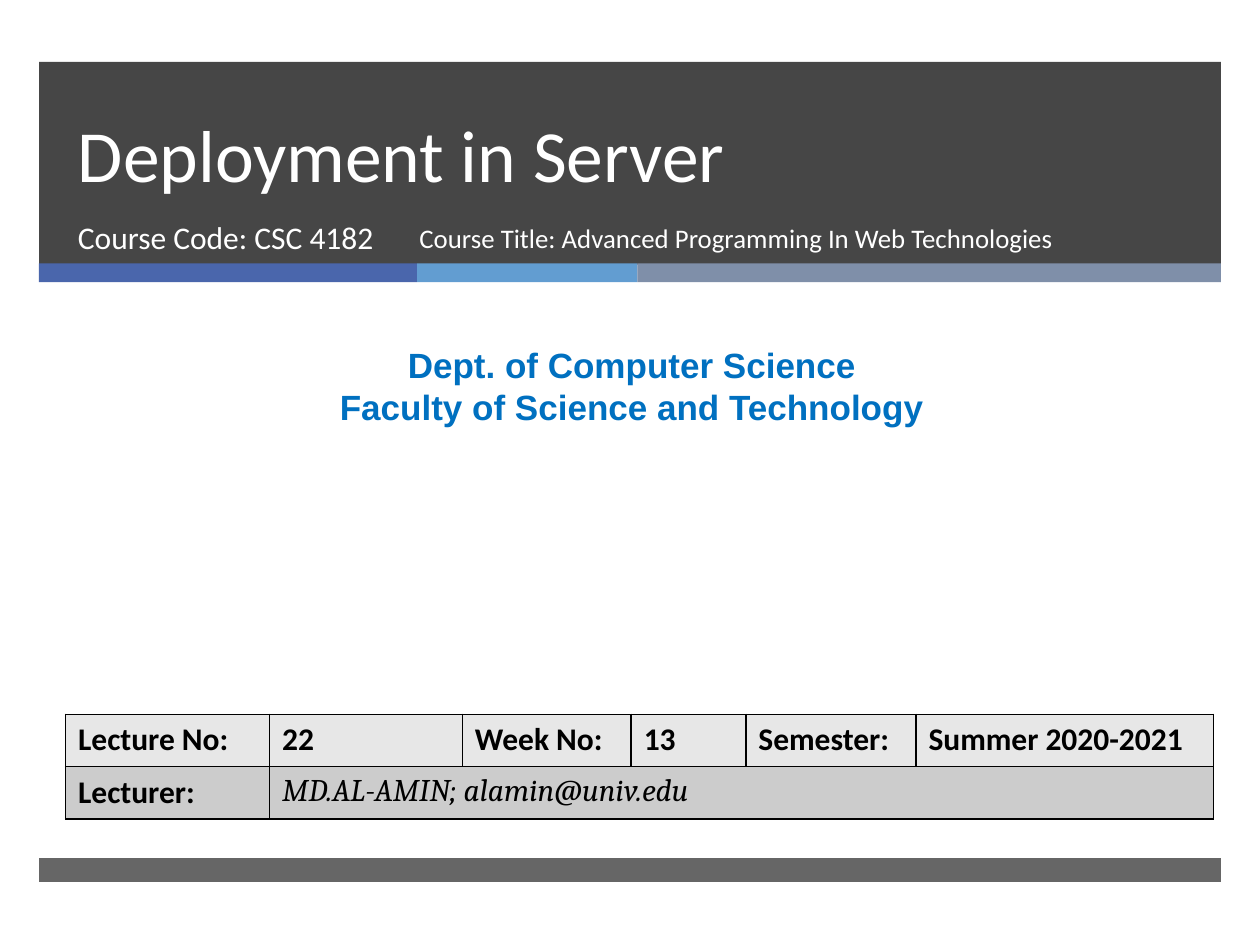
from itertools import accumulate

from lxml.etree import SubElement
from pptx import Presentation
from pptx.dml.color import RGBColor
from pptx.enum.shapes import MSO_SHAPE as Shape
from pptx.enum.text import MSO_ANCHOR as Anchor, PP_ALIGN as Align
from pptx.oxml import parse_xml
from pptx.oxml.ns import nsdecls, qn
from pptx.util import Inches, Pt

COLUMNS, ROWS = 100, 75
DARK, WHITE, BLACK, BLUE = "262626", "FFFFFF", "000000", "0070C0"
STRIPES = [(30, "4A66AC"), (17.5, "629DD1"), (46.3, "7F8FA9")]
TABLE_COLUMNS = [16.2, 15.3, 13.4, 9.1, 13.5, 23.6]
HEADINGS = ["Lecture No:", "22", "Week No:", "13", "Semester:", "Summer 2020-2021"]


def color(value):
    return RGBColor.from_string(value)


class SlideBuilder:
    font = "Calibri"

    def __init__(self, presentation):
        presentation.slide_width, presentation.slide_height = Inches(10), Inches(7.5)
        self.column = presentation.slide_width / COLUMNS
        self.row = presentation.slide_height / ROWS
        self.slide = presentation.slides.add_slide(presentation.slide_layouts[6])

    def place(self, left, top, width, height):
        return (round(left * self.column), round(top * self.row),
                round(width * self.column), round(height * self.row))

    def bar(self, left, top, width, height, fill, alpha=100):
        shape = self.slide.shapes.add_shape(Shape.RECTANGLE, *self.place(left, top, width, height))
        shape.shadow.inherit = False
        shape.line.fill.background()
        shape.fill.solid()
        shape.fill.fore_color.rgb = color(fill)
        if alpha < 100:
            tint = shape._element.spPr.find(qn("a:solidFill"))[0]
            SubElement(tint, qn("a:alpha"), val=str(alpha * 1000))

    def add_run(self, paragraph, text, size, ink, font=None, bold=False, italic=False):
        run = paragraph.add_run()
        run.text = text
        run.font.name = font or self.font
        run.font.size = Pt(size)
        run.font.bold, run.font.italic = bold, italic
        run.font.color.rgb = color(ink)

    def text(self, left, top, width, height, lines, size, ink=WHITE, font=None, bold=False,
             align=Align.LEFT, anchor=Anchor.TOP, spacing=None):
        frame = self.slide.shapes.add_textbox(*self.place(left, top, width, height)).text_frame
        frame.word_wrap = True
        frame.vertical_anchor = anchor
        for index, line in enumerate(lines):
            paragraph = frame.add_paragraph() if index else frame.paragraphs[0]
            paragraph.alignment = align
            paragraph.line_spacing = spacing
            self.add_run(paragraph, line, size, ink, font, bold)

    def cell(self, cell, fill):
        cell.fill.solid()
        cell.fill.fore_color.rgb = color(fill)
        properties = cell._tc.get_or_add_tcPr()
        for index, side in enumerate(("lnL", "lnR", "lnT", "lnB")):
            properties.insert(index, parse_xml(
                f'<a:{side} {nsdecls("a")} w="12700"><a:solidFill>'
                f'<a:srgbClr val="{BLACK}"/></a:solidFill></a:{side}>'))

    def table(self, left, top, widths, row_height, fills):
        area = self.place(left, top, sum(widths), row_height * len(fills))
        table = self.slide.shapes.add_table(len(fills), len(widths), *area).table
        for column, width in zip(table.columns, widths):
            column.width = round(width * self.column)
        for row, fill in zip(table.rows, fills):
            row.height = round(row_height * self.row)
            for cell in row.cells:
                self.cell(cell, fill)
        return table


def main():
    presentation = Presentation()
    builder = SlideBuilder(presentation)

    builder.bar(3.1, 4.9, 93.8, 16.1, DARK, alpha=85)
    lefts = accumulate((width for width, _ in STRIPES), initial=3.1)
    for left, (width, fill) in zip(lefts, STRIPES):
        builder.bar(left, 20.9, width, 1.5, fill)
    builder.bar(3.1, 68.1, 93.8, 1.9, DARK, alpha=70)

    builder.text(5.2, 4.2, 85.4, 11.9, ["Deployment in Server"], 42,
                 anchor=Anchor.BOTTOM, spacing=Pt(46))
    builder.text(5.2, 16.8, 30.5, 5.3, ["Course Code: CSC 4182"], 18)
    builder.text(0.8, 26.8, 98.7, 7.7,
                 ["Dept. of Computer Science", "Faculty of Science and Technology"],
                 20, BLUE, "Arial", bold=True, align=Align.CENTER)

    table = builder.table(5.2, 56.7, TABLE_COLUMNS, 4.15, ["E7E7E7", "CCCCCC"])
    table.cell(1, 1).merge(table.cell(1, 5))
    for index, heading in enumerate(HEADINGS):
        builder.add_run(table.cell(0, index).text_frame.paragraphs[0], heading, 18, BLACK, bold=True)
    lecturer, name = (table.cell(1, index).text_frame.paragraphs[0] for index in (0, 1))
    builder.add_run(lecturer, "Lecturer:", 18, BLACK, bold=True)
    builder.add_run(name, "MD.AL-AMIN; alamin@univ.edu", 18, BLACK, "Cambria", italic=True)

    builder.text(32.3, 17.4, 55.9, 5.3,
                 ["Course Title: Advanced Programming In Web Technologies"], 15.3, spacing=0.9)
    presentation.save("out.pptx")


if __name__ == "__main__":
    main()
